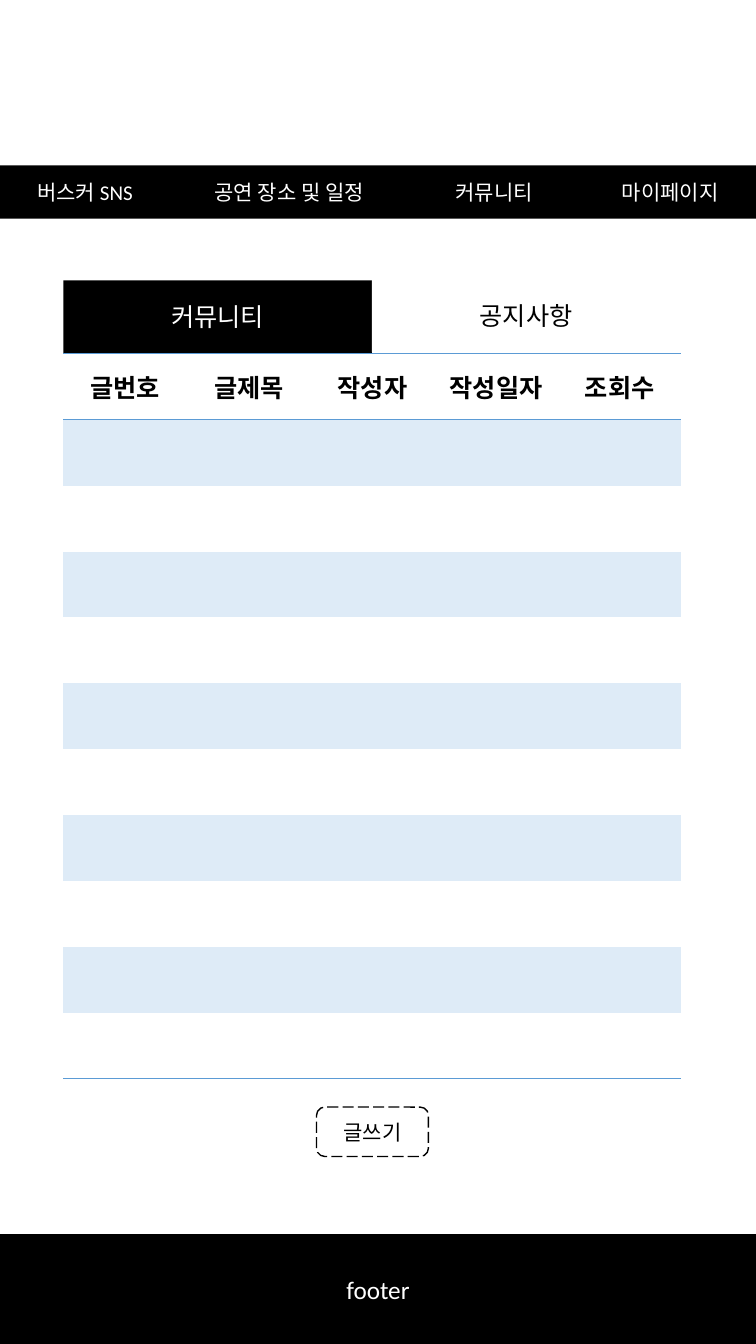
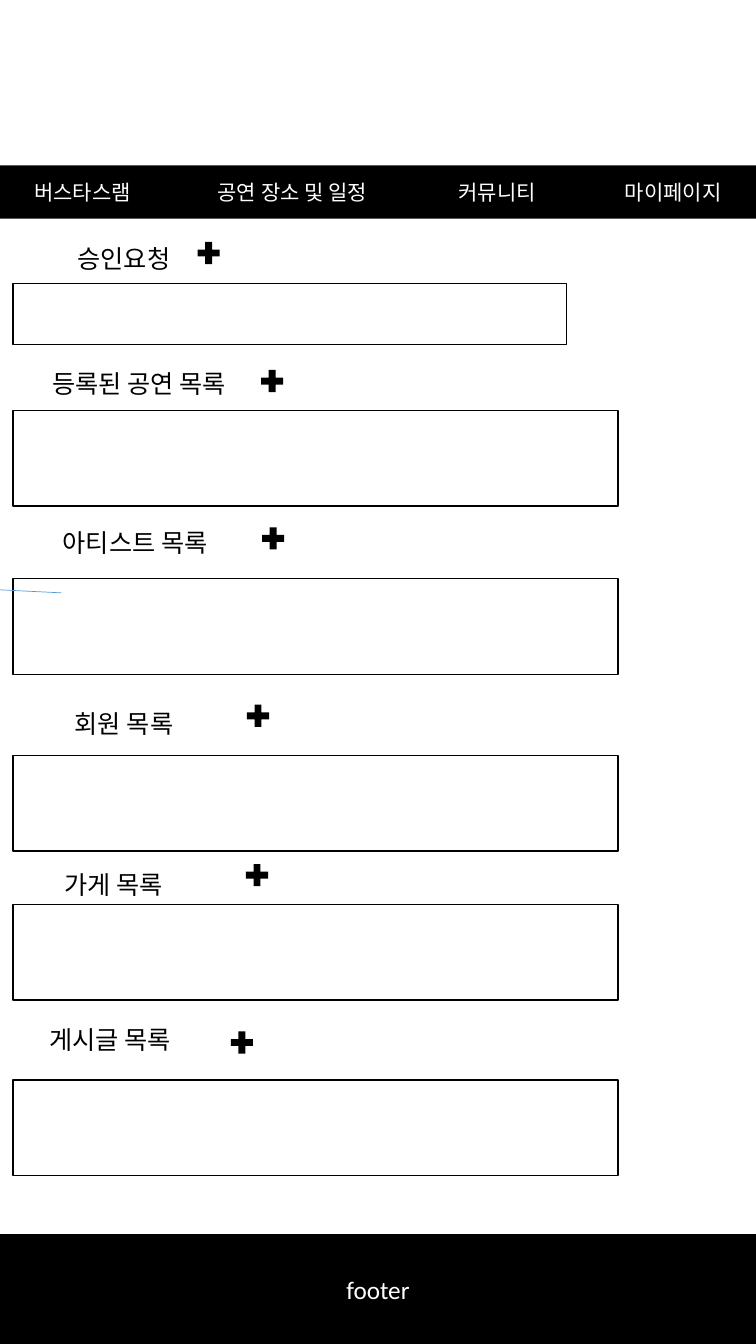
from lxml.etree import SubElement
from pptx import Presentation
from pptx.dml.color import RGBColor
from pptx.enum.dml import MSO_LINE
from pptx.enum.shapes import MSO_CONNECTOR, MSO_SHAPE
from pptx.enum.text import MSO_ANCHOR, PP_ALIGN
from pptx.oxml import parse_xml
from pptx.oxml.ns import nsdecls, qn
from pptx.util import Inches, Pt

BLACK = RGBColor(0x00, 0x00, 0x00)
WHITE = RGBColor(0xFF, 0xFF, 0xFF)
BLUE = RGBColor(0x5B, 0x9B, 0xD5)
PALE_BLUE = RGBColor(0xDE, 0xEB, 0xF7)
FONT = "Calibri"
PLAIN_TABLE = "{2D5ABB26-0587-4C30-8999-92F81FD0307C}"
SLIDE_W, SLIDE_H = 7.5, 13.33
MENU = ["공연 장소 및 일정", "커뮤니티", "마이페이지"]
COLUMNS = ["글번호", "글제목", "작성자", "작성일자", "조회수"]

# Box (left, top, width, height), label text, then label (left, top, width)
# and plus sign (left, top), both measured from the corner of the box
SECTIONS = [
    ((0.13, 2.81, 5.49, 0.61), "승인요청", (0.15, -0.45, 1.9), (1.79, -0.45)),
    ((0.13, 4.07, 6, 0.95), "등록된 공연 목록", (0.02, -0.47, 2.46), (2.42, -0.44)),
    ((0.13, 5.74, 6, 0.95), "아티스트 목록", (-0.06, -0.56, 2.54), (2.43, -0.55)),
    ((0.13, 7.49, 6, 0.95), "회원 목록", (0.01, -0.51, 2.18), (2.28, -0.54)),
    ((0.13, 8.97, 6, 0.95), "가게 목록", (-0.06, -0.4, 2.11), (2.27, -0.44)),
    ((0.13, 10.71, 6, 0.95), "게시글 목록", (0.15, -0.6, 1.62), (2.12, -0.52)),
]


def format_text(p, size, color, align=PP_ALIGN.CENTER):
    p.alignment = align
    p.font.size = Pt(size)
    p.font.name = FONT
    p.font.color.rgb = color


def add_block(slide, box, fill, text="", size=18, color=BLACK, line=None,
              kind=MSO_SHAPE.RECTANGLE):
    sp = slide.shapes.add_shape(kind, *map(Inches, box))
    sp.shadow.inherit = False
    sp.fill.solid()
    sp.fill.fore_color.rgb = fill
    if line is None:
        sp.line.fill.background()
    else:
        sp.line.color.rgb = line
        sp.line.width = Pt(1)
    if text:
        tf = sp.text_frame
        tf.vertical_anchor = MSO_ANCHOR.MIDDLE
        tf.paragraphs[0].text = text
        format_text(tf.paragraphs[0], size, color)
    return sp


def add_menu(slide, box, items, stops):
    """Menu band; each item starts at its stop, in inches from the band's left."""
    sp = add_block(slide, box, BLACK)
    tf = sp.text_frame
    tf.vertical_anchor = MSO_ANCHOR.MIDDLE
    tf.margin_left = Inches(stops[0])
    tf.margin_right = 0
    p = tf.paragraphs[0]
    p.text = "\t".join(items)
    tabs = SubElement(p._p.get_or_add_pPr(), qn("a:tabLst"))
    for stop in stops[1:]:
        SubElement(tabs, qn("a:tab"), pos=str(Inches(stop - stops[0])), algn="l")
    format_text(p, 15, WHITE, PP_ALIGN.LEFT)


def add_page(prs, site_name, stops):
    """Slide with the shared menu and footer bands."""
    slide = prs.slides.add_slide(prs.slide_layouts[6])
    add_menu(slide, (0, 1.64, SLIDE_W, 0.53), [site_name, *MENU], stops)
    add_block(slide, (0, 12.24, SLIDE_W, 1.09), BLACK, "footer", color=WHITE)
    return slide


def add_cell_borders(cell, *sides):
    for i, side in enumerate(sides):
        line = parse_xml(
            f'<a:{side} {nsdecls("a")} w="{Pt(1)}"><a:solidFill>'
            f'<a:srgbClr val="{BLUE}"/></a:solidFill></a:{side}>')
        cell._tc.get_or_add_tcPr().insert(i, line)


def add_board(slide, box, blank_rows=10):
    rows = blank_rows + 1
    frame = slide.shapes.add_table(rows, len(COLUMNS), *map(Inches, box))
    table = frame.table
    table._tbl.tblPr.find(qn("a:tableStyleId")).text = PLAIN_TABLE
    for r in range(rows):
        for c, heading in enumerate(COLUMNS):
            cell = table.cell(r, c)
            if r % 2:
                cell.fill.solid()
                cell.fill.fore_color.rgb = PALE_BLUE
            else:
                cell.fill.background()
            if r == 0:
                cell.vertical_anchor = MSO_ANCHOR.MIDDLE
                p = cell.text_frame.paragraphs[0]
                p.text = heading
                format_text(p, 18, BLACK)
                p.font.bold = True
                add_cell_borders(cell, "lnT", "lnB")
            elif r == rows - 1:
                add_cell_borders(cell, "lnB")


def add_tabs(slide, box):
    left, top, width, height = box
    half = width / 2
    add_block(slide, (left, top, half, height), BLACK, "커뮤니티", color=WHITE)
    add_block(slide, (left + half, top - 0.01, half, height), WHITE, "공지사항")


def add_section(slide, box, label, label_at, plus_at):
    """Outlined list box with its label and plus sign."""
    left, top = box[:2]
    add_block(slide, box, WHITE, line=BLACK)
    dx, dy, width = label_at
    tb = slide.shapes.add_textbox(*map(Inches, (left + dx, top + dy, width, 0.4)))
    tb.text_frame.word_wrap = True
    p = tb.text_frame.paragraphs[0]
    p.text = label
    format_text(p, 18, BLACK)
    dx, dy = plus_at
    plus = add_block(slide, (left + dx, top + dy, 0.3, 0.3), BLACK,
                     kind=MSO_SHAPE.MATH_PLUS)
    plus.adjustments[0] = 0.23


def add_pointer(slide, start, end):
    line = slide.shapes.add_connector(
        MSO_CONNECTOR.STRAIGHT, *map(Inches, (*start, *end)))
    line.line.color.rgb = BLUE
    line.line.width = Pt(0.5)
    SubElement(line._element.spPr, qn("a:effectLst"))


def build_community(prs):
    slide = add_page(prs, "버스커 SNS", (0.37, 2.13, 4.52, 6.17))
    add_board(slide, (0.63, 3.51, 6.13, 7.19))
    add_tabs(slide, (0.63, 2.78, 6.12, 0.72))
    button = add_block(slide, (3.14, 10.98, 1.11, 0.49), WHITE, "글쓰기", size=15,
                       line=BLACK, kind=MSO_SHAPE.ROUNDED_RECTANGLE)
    button.line.dash_style = MSO_LINE.LONG_DASH


def build_admin(prs):
    slide = add_page(prs, "버스타스램", (0.34, 2.16, 4.55, 6.2))
    for section in SECTIONS:
        add_section(slide, *section)
    add_pointer(slide, (0.61, 5.88), (0, 5.85))


def main():
    prs = Presentation()
    prs.slide_width = Inches(SLIDE_W)
    prs.slide_height = Inches(SLIDE_H)
    build_community(prs)
    build_admin(prs)
    prs.save("out.pptx")


if __name__ == "__main__":
    main()
